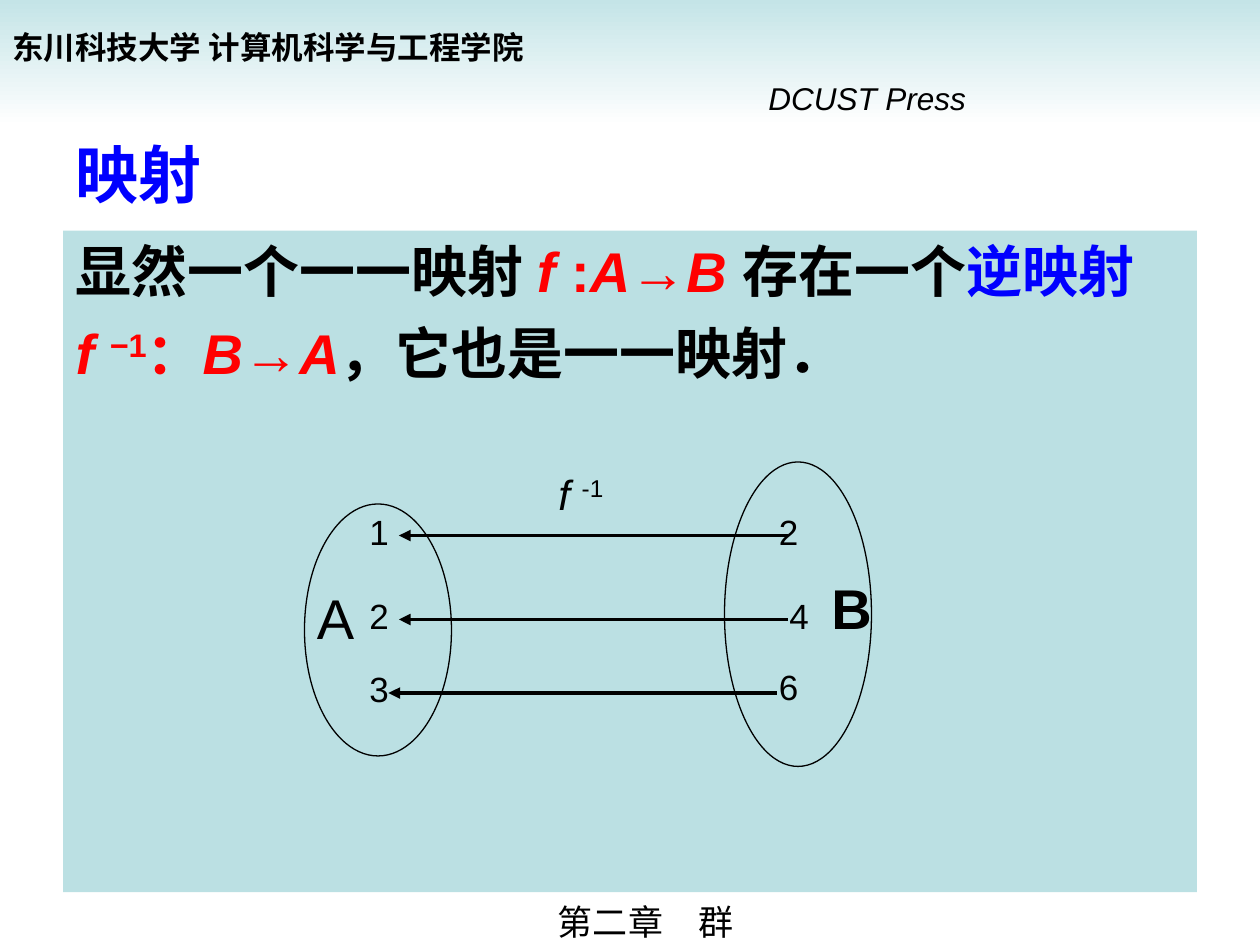
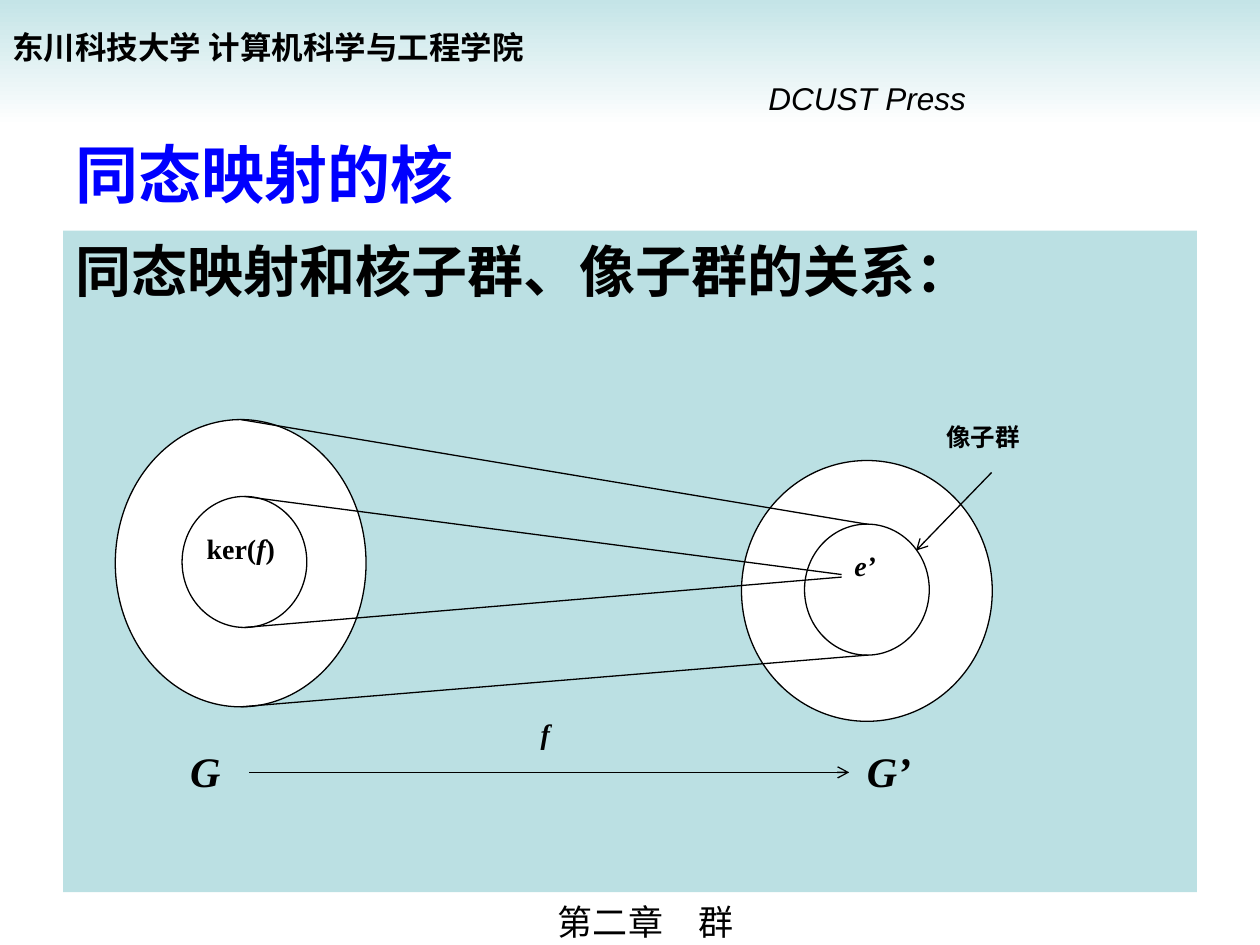
from lxml import etree
from pptx import Presentation
from pptx.dml.color import RGBColor
from pptx.enum.shapes import MSO_CONNECTOR, MSO_SHAPE
from pptx.enum.text import MSO_ANCHOR, MSO_AUTO_SIZE, PP_ALIGN
from pptx.oxml.ns import qn
from pptx.util import Inches, Pt

OVAL, RECT = MSO_SHAPE.OVAL, MSO_SHAPE.RECTANGLE
STRAIGHT = MSO_CONNECTOR.STRAIGHT
LEFT, MIDDLE, TOP = PP_ALIGN.LEFT, MSO_ANCHOR.MIDDLE, MSO_ANCHOR.TOP
NO_FIT = MSO_AUTO_SIZE.NONE

BLACK, WHITE, RED, BLUE = "000000", "FFFFFF", "FF0000", "0000FF"
PANEL, BAND_TOP = "BBE0E3", "C4E4E7"
SANS, SERIF = "Arial", "Times New Roman"
WIDTH, HEIGHT = 10, 7.5
UNIT = WIDTH / 120

SCHOOL = "东川科技大学 计算机科学与工程学院"
PRESS = "DCUST Press"
CHAPTER = "第二章　群"

# Runs hold text, colour, italic and superscript share.
INVERSE = {
    "title": "映射",
    "indent": 0.67,
    "body": [
        [("显然一个一一映射 ", BLACK), ("f ", RED, True), (":", RED), ("A", RED, True),
         ("→", RED), ("B ", RED, True), ("存在一个", BLACK), ("逆映射", BLUE)],
        [("f ", RED, True), ("−1", RED, False, 30), ("：", RED), ("B", RED, True),
         ("→", RED), ("A", RED, True), ("，它也是一一映射．", BLACK)],
    ],
}
KERNEL = {
    "title": "同态映射的核",
    "indent": 0.38,
    "body": [[("同态映射和核子群、像子群的关系：", BLACK)]],
}

SETS = [
    ("A", False, (29, 48, 14, 24), (29, 55)),
    ("B", True, (69, 44, 14, 29), (78, 54)),
]
PAIRS = [
    (("1", 34, 48), ("2", 73, 48), (75, 38, 51)),
    (("2", 34, 56), ("4", 74, 56), (75, 38, 59)),
    (("3", 34, 63), ("6", 73, 62.75), (74, 37, 66)),
]
INVERSE_NAME = [("f ", BLACK, True), ("-1", BLACK, False, 30)]

CIRCLES = {
    "G": (1.91, 4.47, 1.99, 2.28),
    "ker": (1.94, 4.46, 0.99, 1.04),
    "G’": (6.88, 4.69, 1.99, 2.07),
    "image": (6.88, 4.68, 0.99, 1.04),
}
IDENTITY_X, IDENTITY_Y = 6.68, 4.57
KERNEL_LABELS = [
    ([("e’", BLACK, True)], 6.78, 4.35, 16),
    ([("ker(", BLACK), ("f", BLACK, True), (")", BLACK)], 1.64, 4.22, 16),
    ([("像子群", BLACK)], 7.51, 3.35, 14),
    ([("G’", BLACK, True)], 6.88, 5.92, 24),
    ([("G", BLACK, True)], 1.51, 5.92, 24),
    ([("f", BLACK, True)], 4.29, 5.69, 16),
]
KERNEL_ARROWS = [((7.87, 3.75), (7.27, 4.37)), ((1.98, 6.13), (6.74, 6.13))]


def color(hex_text):
    return RGBColor.from_string(hex_text)


def place(shape, left, top, width, height):
    shape.left, shape.top = Inches(left), Inches(top)
    shape.width, shape.height = Inches(width), Inches(height)


def write(paragraph, runs, size, font=SANS, bold=False):
    paragraph.alignment = LEFT
    paragraph.font.size, paragraph.font.name = Pt(size), font
    paragraph.font.bold = bold
    for text, tint, *style in runs:
        run = paragraph.add_run()
        run.text = text
        run.font.color.rgb = color(tint)
        run.font.italic = bool(style and style[0])
        if len(style) > 1:
            run._r.get_or_add_rPr().set("baseline", str(style[1] * 1000))


def hang(paragraph, indent):
    properties = paragraph._p.get_or_add_pPr()
    properties.set("marL", str(Inches(indent)))
    properties.set("indent", str(-Inches(indent)))
    etree.SubElement(properties, qn("a:buNone"))


def label(slide, runs, left, top, width, height, size, font=SANS, bold=False, flush=False):
    frame = slide.shapes.add_textbox(
        Inches(left), Inches(top), Inches(width), Inches(height)).text_frame
    frame.word_wrap = True
    if flush:
        frame.margin_left = frame.margin_top = 0
    write(frame.paragraphs[0], runs, size, font, bold)


def oval(slide, left, top, width, height, fill=None):
    shape = slide.shapes.add_shape(
        OVAL, Inches(left), Inches(top), Inches(width), Inches(height))
    shape.shadow.inherit = False
    if fill:
        shape.fill.solid()
        shape.fill.fore_color.rgb = color(fill)
    else:
        shape.fill.background()
    shape.line.color.rgb = color(BLACK)
    shape.line.width = Pt(0.75)


def line(slide, start, end, weight=0.75, tip=None):
    connector = slide.shapes.add_connector(
        STRAIGHT, *(Inches(value) for value in (*start, *end)))
    connector.line.color.rgb = color(BLACK)
    connector.line.width = Pt(weight)
    if tip:
        etree.SubElement(connector.line._get_or_add_ln(), qn("a:tailEnd"), type=tip)
    etree.SubElement(connector._element.spPr, qn("a:effectLst"))


def add_band(slide):
    band = slide.shapes.add_shape(RECT, 0, 0, Inches(WIDTH), Inches(1))
    band.shadow.inherit = False
    band.line.fill.background()
    band.fill.gradient()
    band.fill.gradient_angle = 270
    for stop, tint, position in zip(band.fill.gradient_stops, (BAND_TOP, WHITE), (0, 1)):
        stop.color.rgb = color(tint)
        stop.position = position
    label(slide, [(SCHOOL, BLACK)], 0, 0.17, 6.5, 0.4, 18, bold=True)
    label(slide, [(PRESS, BLACK, True)], 6, 0.58, 3.5, 0.4, 18)
    label(slide, [(CHAPTER, BLACK)], 4.33, 7.1, 1.83, 0.44, 20)


def add_page(deck, content):
    slide = deck.slides.add_slide(deck.slide_layouts[1])
    add_band(slide)
    title, body = slide.placeholders
    place(title, 0.5, 1, 9, 0.75)
    place(body, 0.5, 1.83, 9, 5.25)
    for holder, anchor in ((title, MIDDLE), (body, TOP)):
        holder.text_frame.auto_size = NO_FIT
        holder.text_frame.vertical_anchor = anchor
    write(title.text_frame.paragraphs[0], [(content["title"], BLUE)], 36, bold=True)
    body.fill.solid()
    body.fill.fore_color.rgb = color(PANEL)
    for index, runs in enumerate(content["body"]):
        frame = body.text_frame
        paragraph = frame.add_paragraph() if index else frame.paragraphs[0]
        paragraph.space_before = Pt(8)
        hang(paragraph, content["indent"])
        write(paragraph, runs, 32, bold=True)
    return slide


def draw_inverse(slide):
    for name, bold, outline, (column, row) in SETS:
        oval(slide, *(value * UNIT for value in outline))
        label(slide, [(name, BLACK)], column * UNIT, row * UNIT, 0.67, 0.64, 32, bold=bold)
    for image, element, (start, end, level) in PAIRS:
        line(slide, (start * UNIT, level * UNIT), (end * UNIT, level * UNIT), 2.25, "triangle")
        for text, column, row in (image, element):
            label(slide, [(text, BLACK)], column * UNIT, row * UNIT, 0.33, 0.44, 20)
    label(slide, INVERSE_NAME, 52 * UNIT, 44 * UNIT, 0.67, 0.5, 24)


def draw_kernel(slide):
    top, bottom = {}, {}
    for name, (x, y, width, height) in CIRCLES.items():
        top[name], bottom[name] = (x, y - height / 2), (x, y + height / 2)
        oval(slide, x - width / 2, y - height / 2, width, height, WHITE)
    line(slide, top["G"], top["image"])
    line(slide, bottom["G"], bottom["image"])
    line(slide, top["ker"], (IDENTITY_X, IDENTITY_Y - 0.01))
    line(slide, bottom["ker"], (IDENTITY_X, IDENTITY_Y + 0.01))
    for start, end in KERNEL_ARROWS:
        line(slide, start, end, tip="arrow")
    for runs, left, y, size in KERNEL_LABELS:
        label(slide, runs, left, y, 0.99, 0.41, size, SERIF, True, True)


def main():
    deck = Presentation()
    deck.slide_width, deck.slide_height = Inches(WIDTH), Inches(HEIGHT)
    draw_inverse(add_page(deck, INVERSE))
    draw_kernel(add_page(deck, KERNEL))
    deck.save("out.pptx")


if __name__ == "__main__":
    main()
